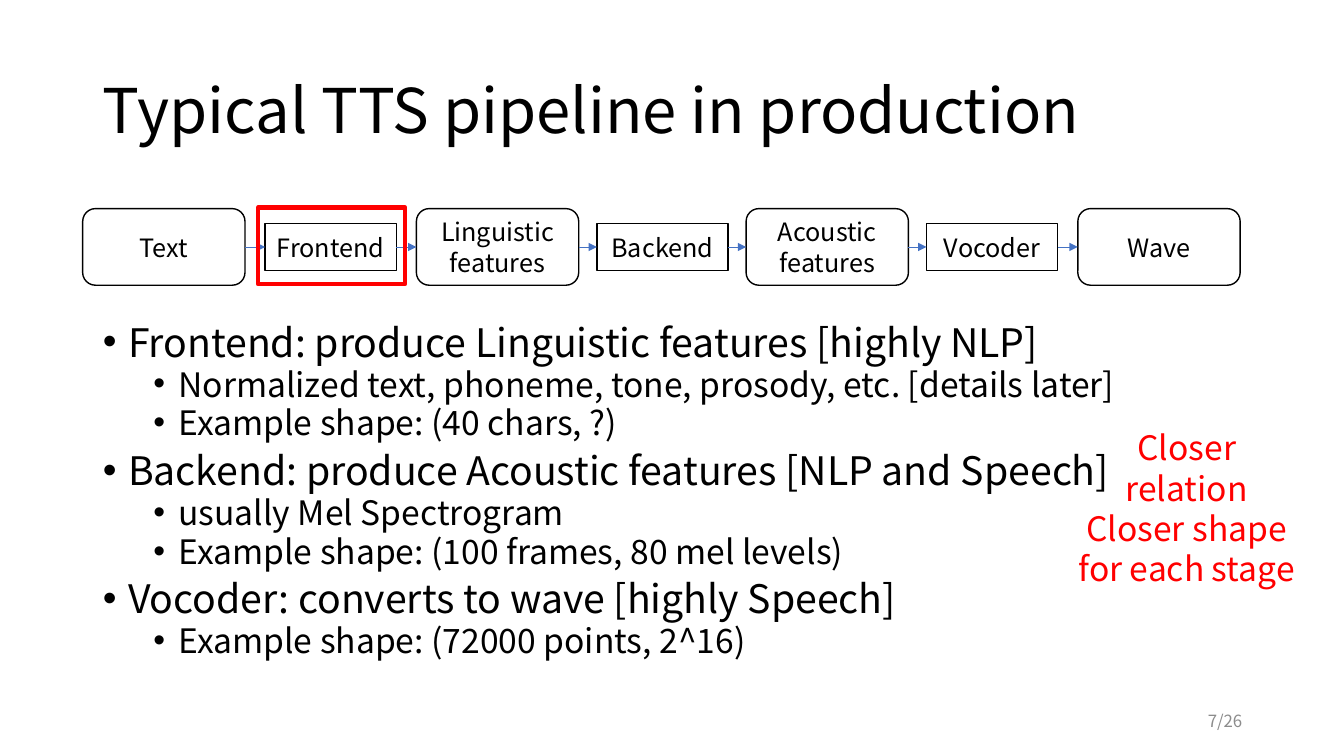
"""Build the slide that shows a typical text-to-speech pipeline."""
from dataclasses import dataclass
from itertools import pairwise

from lxml import etree
from pptx import Presentation
from pptx.dml.color import RGBColor
from pptx.enum.shapes import MSO_CONNECTOR, MSO_SHAPE
from pptx.enum.text import MSO_ANCHOR, MSO_AUTO_SIZE, PP_ALIGN
from pptx.oxml.ns import qn
from pptx.util import Inches, Pt

STRAIGHT = MSO_CONNECTOR.STRAIGHT
ROUNDED, RECTANGLE = MSO_SHAPE.ROUNDED_RECTANGLE, MSO_SHAPE.RECTANGLE
TOP, MIDDLE = MSO_ANCHOR.TOP, MSO_ANCHOR.MIDDLE
LEFT, CENTER, RIGHT = PP_ALIGN.LEFT, PP_ALIGN.CENTER, PP_ALIGN.RIGHT
GROW, SHRINK = MSO_AUTO_SIZE.SHAPE_TO_FIT_TEXT, MSO_AUTO_SIZE.TEXT_TO_FIT_SHAPE

FONT = "Noto Sans CJK SC"
BLACK, RED, BLUE, GRAY = "000000", "FF0000", "4472C4", "8C8C8C"
PIPELINE_MIDDLE = 2.45
RIGHT_SITE, LEFT_SITE = 3, 1


@dataclass(frozen=True)
class Stage:
    """One box of the pipeline: data is rounded, a process is square."""

    label: str
    left: float
    is_process: bool = False

    @property
    def size(self) -> tuple[float, float]:
        """Return width and height in inches."""
        return (1.3, 0.47) if self.is_process else (1.61, 0.76)


@dataclass(frozen=True)
class Point:
    """One list entry with its level."""

    text: str
    level: int = 0


STAGES = [
    Stage("Text", 0.82),
    Stage("Frontend", 2.63, True),
    Stage("Linguistic features", 4.13),
    Stage("Backend", 5.92, True),
    Stage("Acoustic\nfeatures", 7.4),
    Stage("Vocoder", 9.19, True),
    Stage("Wave", 10.69),
]
POINTS = [
    Point("Frontend: produce Linguistic features [highly NLP]"),
    Point("Normalized text, phoneme, tone, prosody, etc. [details later]", 1),
    Point("Example shape: (40 chars, ?)", 1),
    Point("Backend: produce Acoustic features [NLP and Speech]"),
    Point("usually Mel Spectrogram", 1),
    Point("Example shape: (100 frames, 80 mel levels)", 1),
    Point("Vocoder: converts to wave [highly Speech]"),
    Point("Example shape: (72000 points, 2^16)", 1),
]


def rgb(color: str) -> RGBColor:
    """Turn a hex string into a colour."""
    return RGBColor.from_string(color)


def place(shape, left: float, top: float, width: float, height: float) -> None:
    """Move and size a shape, in inches."""
    shape.left, shape.top = Inches(left), Inches(top)
    shape.width, shape.height = Inches(width), Inches(height)


def format_paragraph(paragraph, text: str, *, size: float, color: str = BLACK,
                     align=LEFT, line_spacing: float = 1.0) -> None:
    """Fill one paragraph and set its format."""
    paragraph.text = text
    paragraph.alignment = align
    paragraph.line_spacing = line_spacing
    font = paragraph.font
    font.name, font.size, font.color.rgb = FONT, Pt(size), rgb(color)


def write(shape, text: str, *, anchor=MIDDLE, **paragraph_format) -> None:
    """Write text into a shape, one paragraph per line."""
    frame = shape.text_frame
    frame.word_wrap, frame.vertical_anchor = True, anchor
    for index, line in enumerate(text.split("\n")):
        paragraph = frame.add_paragraph() if index else frame.paragraphs[0]
        format_paragraph(paragraph, line, **paragraph_format)


def add_outline(slide, kind, box: tuple[float, float, float, float],
                color: str, weight: float):
    """Add an unfilled outlined shape."""
    outline = slide.shapes.add_shape(kind, *map(Inches, box))
    outline.shadow.inherit = False
    outline.fill.background()
    outline.line.color.rgb, outline.line.width = rgb(color), Pt(weight)
    return outline


def add_stage(slide, stage: Stage):
    """Add a pipeline box centred on the pipeline's middle line."""
    width, height = stage.size
    box = (stage.left, PIPELINE_MIDDLE - height / 2, width, height)
    stage_box = add_outline(slide, ROUNDED, box, BLACK, 1)
    if stage.is_process:
        stage_box.adjustments[0] = 0
    write(stage_box, stage.label, size=18, align=CENTER)
    return stage_box


def add_arrow(slide, source, target) -> None:
    """Connect two neighbouring pipeline boxes."""
    arrow = slide.shapes.add_connector(STRAIGHT, 0, 0, 0, 0)
    arrow.begin_connect(source, RIGHT_SITE)
    arrow.end_connect(target, LEFT_SITE)
    arrow.line.color.rgb, arrow.line.width = rgb(BLUE), Pt(0.5)
    etree.SubElement(arrow.line._get_or_add_ln(), qn("a:tailEnd"), type="triangle")
    etree.SubElement(arrow.element.spPr, qn("a:effectLst"))


def add_text(slide, text: str, box: tuple[float, float, float, float], **text_format):
    """Add a text box."""
    text_box = slide.shapes.add_textbox(*map(Inches, box))
    write(text_box, text, **text_format)
    return text_box


def fill_points(body, points: list[Point]) -> None:
    """Fill the body with bulleted points on two levels."""
    frame = body.text_frame
    frame.word_wrap, frame.vertical_anchor, frame.auto_size = True, TOP, SHRINK
    body.element.find(".//" + qn("a:normAutofit")).set("lnSpcReduction", "10000")
    for index, point in enumerate(points):
        paragraph = frame.add_paragraph() if index else frame.paragraphs[0]
        paragraph.level = point.level
        paragraph.line_spacing = 0.9
        paragraph.space_before = Pt((5 if point.level else 10) if index else 0)
        properties = paragraph._p.get_or_add_pPr()
        properties.set("marL", str(Inches(0.25 + 0.5 * point.level)))
        properties.set("indent", str(Inches(-0.25)))
        etree.SubElement(properties, qn("a:buFont"), typeface="Arial")
        etree.SubElement(properties, qn("a:buChar"), char="•")
        format_paragraph(paragraph, point.text, size=24 if point.level else 28,
                         line_spacing=0.9)


def main() -> None:
    """Build and save the slide."""
    presentation = Presentation()
    presentation.slide_width, presentation.slide_height = Inches(13.33), Inches(7.5)
    slide = presentation.slides.add_slide(presentation.slide_layouts[1])

    title, body = slide.placeholders
    place(title, 0.92, 0.4, 11.5, 1.45)
    write(title, "Typical TTS pipeline in production", size=44, line_spacing=0.9)
    place(body, 0.92, 3.19, 11.5, 3.69)
    fill_points(body, POINTS)

    stage_boxes = [add_stage(slide, stage) for stage in STAGES]
    for source, target in pairwise(stage_boxes):
        add_arrow(slide, source, target)

    relation_note = add_text(slide, "Closer relation\nCloser shape\nfor each stage",
                             (10.59, 4.19, 2.36, 1.31), anchor=TOP, size=24,
                             color=RED, align=CENTER)
    relation_note.text_frame.auto_size = GROW
    add_outline(slide, RECTANGLE, (2.56, 2.06, 1.46, 0.76), RED, 3)
    add_text(slide, "7/26", (9.42, 6.95, 3, 0.4), size=12, color=GRAY, align=RIGHT)

    presentation.save("out.pptx")


if __name__ == "__main__":
    main()
